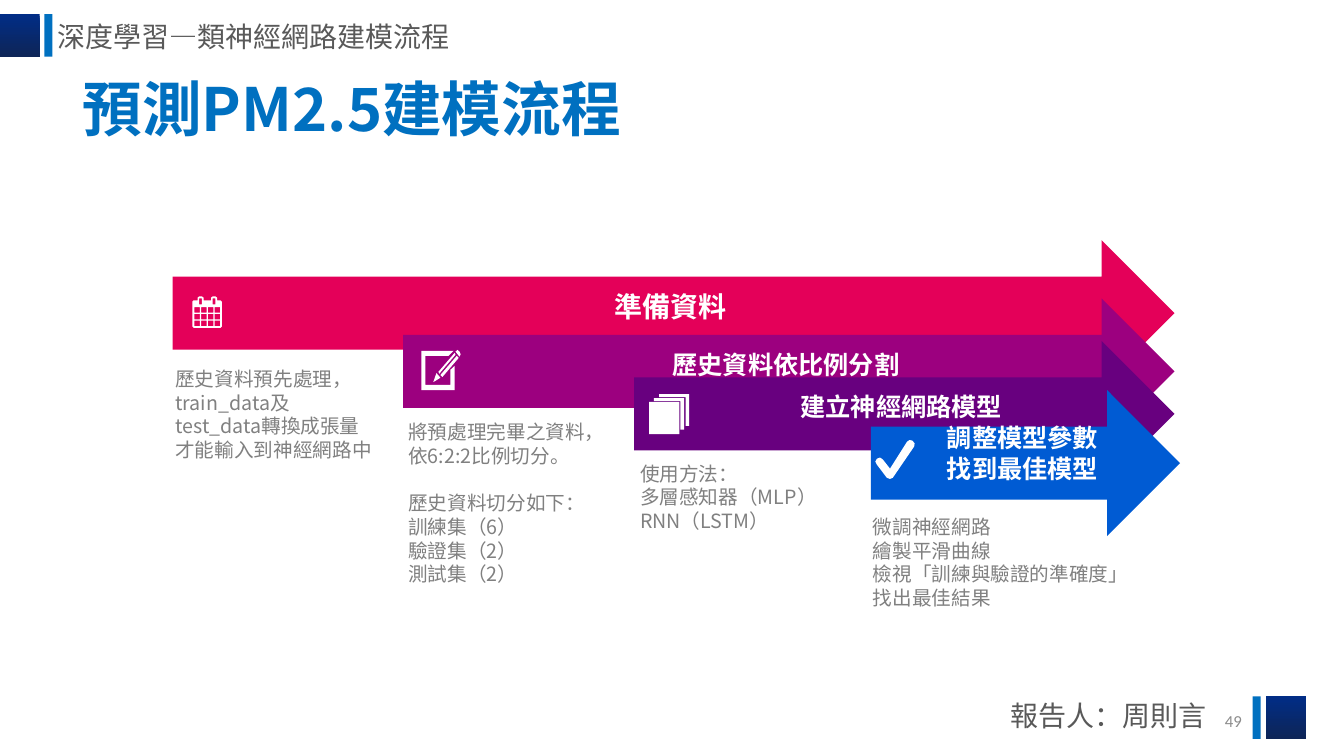
from dataclasses import dataclass

from lxml.etree import SubElement
from pptx import Presentation
from pptx.dml.color import RGBColor as Rgb
from pptx.enum.shapes import MSO_SHAPE as Kind
from pptx.enum.text import MSO_ANCHOR as Anchor, PP_ALIGN as Align
from pptx.oxml.ns import qn
from pptx.util import Cm, Pt


@dataclass(frozen=True)
class Theme:
    sans: str = "Noto Sans CJK SC"
    arial: str = "Arial"
    page: str = "Calibri"
    white: str = "FFFFFF"
    blue: str = "0070C0"
    navy: tuple = ("012D86", "0E2557")
    dark: str = "595959"
    grey: str = "808080"
    pale: str = "8C8C8C"
    title: float = 42.6
    head: int = 20
    step: int = 18
    note: int = 14
    small: int = 12
    pitch: float = 16.9


T = Theme()

# left, top, tip, colour, size, line spacing, lines
STEPS = [
    (4.35, 6.05, 29.6, "E40059", T.head, 1.2, ["準備資料"]),
    (10.16, 7.52, 29.6, "9C007F", T.step, 1.2, ["歷史資料依比例分割"]),
    (15.98, 8.59, 29.6, "68007F", T.step, 1.2, ["建立神經網路模型"]),
    (21.95, 9.83, 29.74, "005BD3", T.step, None, ["調整模型參數", "找到最佳模型"]),
]

# left, top, width, height, blocks of lines
NOTES = [
    (4.17, 9.12, 5.54, 2.64, [["歷史資料預先處理，train_data及test_data轉換成張量才能輸入到神經網路中"]]),
    (10.04, 10.46, 5.54, 4.45, [
        ["將預處理完畢之資料，依6:2:2比例切分。"],
        ["歷史資料切分如下：", "訓練集（6）", "驗證集（2）", "測試集（2）"]]),
    (15.88, 11.5, 5.54, 2.06, [["使用方法：", "多層感知器（MLP）", "RNN（LSTM）"]]),
    (21.75, 12.85, 7.34, 2.64, [
        ["微調神經網路", "繪製平滑曲線", "檢視「訓練與驗證的準確度」", "找出最佳結果"]]),
]

TICK = [(22.43, 12.07), (22.35, 12.04), (22.1, 11.71), (22.06, 11.63), (22.1, 11.56),
        (22.18, 11.53), (22.25, 11.58), (22.43, 11.81), (22.86, 11.13), (22.92, 11.09),
        (22.99, 11.1), (23.05, 11.17), (23.04, 11.25), (22.5, 12.04)]

PENCIL = [
    [(11.1, 9.52), (11, 9.4), (10.92, 9.63)],
    [(11.46, 8.89), (11.05, 9.37), (11.07, 9.42), (11.48, 8.94)],
    [(11.1, 9.45), (11.15, 9.5), (11.56, 9.02), (11.51, 8.97)],
    [(11.48, 8.86), (11.53, 8.82), (11.58, 8.86), (11.61, 8.93), (11.58, 8.99)],
    [(11.35, 9.7), (10.72, 9.7), (10.72, 8.97), (11.3, 8.97), (11.43, 8.84),
     (10.62, 8.84), (10.62, 9.83), (11.46, 9.83), (11.46, 9.22), (11.35, 9.32)],
]


def paint(shape, tone):
    shape.shadow.inherit = False
    shape.line.fill.background()
    if isinstance(tone, tuple):
        shape.fill.gradient()
        shape.fill.gradient_angle = 270
        for stop, shade in zip(shape.fill.gradient_stops, tone):
            stop.color.rgb = Rgb.from_string(shade)
    else:
        shape.fill.solid()
        shape.fill.fore_color.rgb = Rgb.from_string(tone)
    return shape


def block(slide, x, y, w, h, tone):
    return paint(slide.shapes.add_shape(Kind.RECTANGLE, Cm(x), Cm(y), Cm(w), Cm(h)), tone)


def trace(slide, loops, tone):
    """Draw closed loops of points as one shape; inner loops are holes."""
    loops = [[(Cm(x), Cm(y)) for x, y in loop] for loop in loops]
    pen = slide.shapes.build_freeform(*loops[0][0], scale=1.0)
    for i, loop in enumerate(loops):
        if i:
            pen.move_to(*loop[0])
        pen.add_line_segments(loop[1:], close=True)
    return paint(pen.convert_to_shape(), tone)


def write(para, text, size, tone, face=T.sans, bold=False):
    run = para.add_run()
    run.text = text
    font = run.font
    font.size, font.bold, font.name = Pt(size), bold, face
    font.color.rgb = Rgb.from_string(tone)
    SubElement(font._element, qn("a:ea")).set("typeface", T.sans)


def next_para(frame, i):
    return frame.add_paragraph() if i else frame.paragraphs[0]


def frame_at(slide, x, y, w, h, anchor=Anchor.MIDDLE):
    frame = slide.shapes.add_textbox(Cm(x), Cm(y), Cm(w), Cm(h)).text_frame
    frame.word_wrap = True
    frame.vertical_anchor = anchor
    return frame


def label(slide, box, text, size, tone, align=Align.LEFT, **look):
    para = frame_at(slide, *box).paragraphs[0]
    para.alignment = align
    write(para, text, size, tone, **look)


def note(slide, x, y, w, h, blocks):
    frame = frame_at(slide, x, y, w, h, Anchor.TOP)
    lines = [(b and not i, text) for b, part in enumerate(blocks) for i, text in enumerate(part)]
    for i, (gap, text) in enumerate(lines):
        para = next_para(frame, i)
        para.line_spacing = Pt(T.pitch)
        if gap:
            para.space_before = Pt(T.pitch)
        write(para, text, T.note, T.grey)


def arrow(slide, left, top, tip, tone, size, space, lines):
    half, neck = 1.84, tip - 1.84
    high, low = top + half / 2, top + half * 1.5
    shape = trace(slide, [[(left, high), (neck, high), (neck, top), (tip, top + half),
                           (neck, top + 2 * half), (neck, low), (left, low)]], tone)
    frame = shape.text_frame
    frame.word_wrap = True
    frame.vertical_anchor = Anchor.MIDDLE
    frame.margin_left, frame.margin_right = Cm(1.42), Cm(1.57)
    frame.margin_top, frame.margin_bottom = Cm(0.99), Cm(1.5)
    for i, text in enumerate(lines):
        para = next_para(frame, i)
        para.alignment = Align.CENTER
        para.line_spacing = space
        write(para, text, size, T.white, T.arial, True)


def ring(x, y, w, h):
    return [(x, y), (x + w, y), (x + w, y + h), (x, y + h)]


def dates(slide):
    """Calendar icon: a body with two tabs, slits and a grid of holes."""
    tabs = (4.98, 5.32)
    edge = [(4.85, 7.6), (4.88, 7.57)]
    for x in tabs:
        edge += [(x, 7.57), (x, 7.5), (x + 0.04, 7.47),
                 (x + 0.11, 7.47), (x + 0.15, 7.5), (x + 0.15, 7.57)]
    edge += [(5.56, 7.57), (5.59, 7.6), (5.59, 8.23), (5.56, 8.26), (4.88, 8.26), (4.85, 8.23)]
    slits = [ring(x + 0.04, 7.52, 0.07, 0.15) for x in tabs]
    cells = [ring(4.9 + 0.17 * c, 7.74 + 0.17 * r, 0.14, 0.14) for r in range(3) for c in range(4)]
    trace(slide, [edge, *slits, *cells], T.white)


def pages(slide):
    """Icon of a sheet with two more behind it."""
    for x, y in [(16.48, 10.03), (16.61, 9.93)]:
        trace(slide, [[(x, y), (x + 0.76, y), (x + 0.76, y + 0.8), (x + 0.67, y + 0.8),
                       (x + 0.67, y + 0.08), (x, y + 0.08)]], T.white)
    block(slide, 16.36, 10.13, 0.76, 0.81, T.white)


def main():
    deck = Presentation()
    deck.slide_width, deck.slide_height = Cm(33.87), Cm(19.05)
    slide = deck.slides.add_slide(deck.slide_layouts[6])

    for wide, thin, y in [(-0.02, 1.12, 0.36), (31.9, 31.57, 17.55)]:
        block(slide, wide, y, 1.02, 1.07, T.navy)
        block(slide, thin, y, 0.2, 1.07, T.blue)
    label(slide, (1.19, 0.15, 11.3, 1.55), "深度學習—類神經網路建模流程", T.head, T.dark)
    label(slide, (1.22, 1.8, 15.29, 1.83), "預測PM2.5建模流程", T.title, T.blue,
          Align.CENTER, bold=True)

    for item in NOTES:
        note(slide, *item)
    for step in STEPS:
        arrow(slide, *step)
    dates(slide)
    for part in PENCIL:
        trace(slide, [part], T.white)
    pages(slide)
    trace(slide, [TICK], T.white)

    label(slide, (25.22, 17.25, 8.28, 1.55), "報告人：周則言", T.head, T.dark)
    label(slide, (23.93, 17.65, 7.62, 1.02), "49", T.small, T.pale, Align.RIGHT, face=T.page)
    deck.save("out.pptx")


if __name__ == "__main__":
    main()
